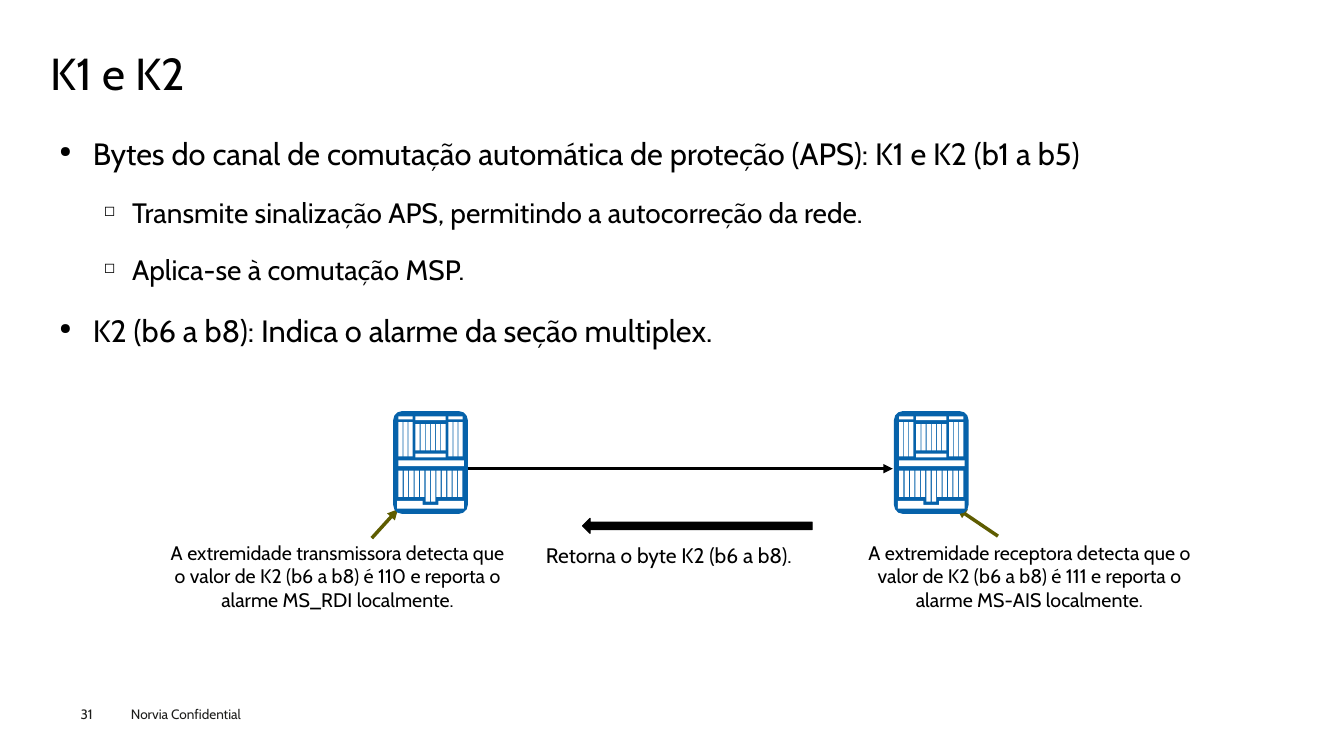
from lxml.etree import SubElement
from pptx import Presentation
from pptx.dml.color import RGBColor
from pptx.enum.shapes import MSO_CONNECTOR as Link, MSO_SHAPE as Shape
from pptx.enum.text import MSO_ANCHOR as Anchor, PP_ALIGN as Align
from pptx.oxml.ns import qn
from pptx.util import Cm, Pt

COLORS = {"ink": "000000", "footer": "1D1D1B", "cabinet": "0662AA",
          "slot": "FFFFFF", "pointer": "5E5C00"}
FONT = "Cabin"


def add_text(box, paragraphs, size, color="ink", margins=(0.25, 0.13), align=Align.LEFT):
    frame = slide.shapes.add_textbox(*map(Cm, box)).text_frame
    frame.word_wrap = True
    frame.margin_left = frame.margin_right = Cm(margins[0])
    frame.margin_top = frame.margin_bottom = Cm(margins[1])
    for index, words in enumerate(paragraphs):
        paragraph = frame.add_paragraph() if index else frame.paragraphs[0]
        paragraph.alignment = align
        run = paragraph.add_run()
        run.text = words
        run.font.name = FONT
        run.font.size = Pt(size)
        run.font.color.rgb = RGBColor.from_string(COLORS[color])
    return frame


def paint(shape, color):
    shape.shadow.inherit = False
    shape.fill.solid()
    shape.fill.fore_color.rgb = RGBColor.from_string(COLORS[color])
    shape.line.fill.background()


prs = Presentation()
prs.slide_width, prs.slide_height = Cm(33.87), Cm(19.05)
slide = prs.slides.add_slide(prs.slide_layouts[6])

add_text((3.05, 17.65, 4.06, 0.69), ["Norvia Confidential"], 9.7, "footer")
add_text((2.03, 17.78, 1.4, 0.41), ["31"], 9.7, "footer", (0, 0))

title = add_text((1.27, 1.24, 31.37, 1.37), ["K1 e K2"], 32, margins=(0, 0))
title.vertical_anchor = Anchor.MIDDLE
title.paragraphs[0].line_spacing = 0.9

points = [
    (0, "Bytes do canal de comutação automática de proteção (APS): K1 e K2 (b1 a b5)"),
    (1, "Transmite sinalização APS, permitindo a autocorreção da rede."),
    (1, "Aplica-se à comutação MSP."),
    (0, "K2 (b6 a b8): Indica o alarme da seção multiplex."),
]
levels = [
    {"size": 22, "before": 7.9, "margin": 0.84, "hang": 0.84, "bullet": "●", "align": Align.JUSTIFY},
    {"size": 20, "before": 7.2, "margin": 1.83, "hang": 0.71, "bullet": "◻", "align": Align.LEFT},
]
body = add_text((1.27, 2.92, 31.37, 13.54), [words for _, words in points], 22,
                margins=(0.23, 0.1))
for index, (paragraph, (depth, _)) in enumerate(zip(body.paragraphs, points)):
    level = levels[depth]
    paragraph.level = depth
    paragraph.alignment = level["align"]
    paragraph.line_spacing = 1.4
    paragraph.space_before = Pt(level["before"] if index else 0)
    paragraph.runs[0].font.size = Pt(level["size"])
    properties = paragraph._p.get_or_add_pPr()
    properties.set("marL", str(Cm(level["margin"])))
    properties.set("indent", str(-Cm(level["hang"])))
    SubElement(properties, qn("a:buSzPct")).set("val", "50000")
    SubElement(properties, qn("a:buChar")).set("char", level["bullet"])

arrows = [
    ((9.37, 13.56, 10.03, 12.83), "pointer", 2.5),
    ((25.15, 13.51, 24.1, 12.8), "pointer", 2.5),
    ((11.79, 11.81, 22.5, 11.81), "ink", 2.25),
]
for ends, color, width in arrows:
    arrow = slide.shapes.add_connector(Link.STRAIGHT, *map(Cm, ends))
    arrow.line.color.rgb = RGBColor.from_string(COLORS[color])
    arrow.line.width = Pt(width)
    SubElement(arrow.line._get_or_add_ln(), qn("a:tailEnd")).set("type", "triangle")
    SubElement(arrow._element.spPr, qn("a:effectLst"))

captions = [
    ((3.94, 13.49, 9.14, 2.31), "A extremidade transmissora detecta que o valor de K2 (b6 a b8) "
     "é 110 e reporta o alarme MS_RDI localmente."),
    ((21.54, 13.49, 8.81, 2.31), "A extremidade receptora detecta que o valor de K2 (b6 a b8) "
     "é 111 e reporta o alarme MS-AIS localmente."),
]
for box, words in captions:
    add_text(box, [words], 14, align=Align.CENTER)
add_text((13.51, 13.54, 8.03, 0.89), ["Retorna o byte K2 (b6 a b8)."], 15)

return_arrow = slide.shapes.add_shape(Shape.LEFT_ARROW, Cm(14.68), Cm(13.06), Cm(5.79), Cm(0.38))
paint(return_arrow, "ink")
return_arrow.line.color.rgb = RGBColor.from_string(COLORS["ink"])
return_arrow.line.width = Pt(0.75)

slots = [
    (0.13, 0.13, 0.36, 0.08), (1.39, 0.13, 0.36, 0.08),
    (0.56, 0.13, 0.76, 0.1), (0.56, 1.07, 0.76, 0.1),
    (0.13, 1.24, 1.65, 0.15),
]
slots += [(start + 0.125 * i, 0.28, 0.11, 0.86) for start in (0.13, 1.39) for i in range(3)]
slots += [(0.56 + 0.13 * i, 0.33, 0.11, 0.66) for i in range(6)]
slots += [(0.13 + 0.137 * i, 1.5, 0.11, 0.78 if i in (5, 6) else 0.66) for i in range(12)]
tray = [(0.1, 2.26), (0.74, 2.26), (0.74, 2.36), (1.14, 2.36),
        (1.14, 2.26), (1.78, 2.26), (1.78, 2.46), (0.1, 2.46)]

cabinet_top = 10.36
for cabinet_left in (9.91, 22.53):
    cabinet = slide.shapes.add_group_shape().shapes
    case = cabinet.add_shape(Shape.ROUNDED_RECTANGLE, Cm(cabinet_left), Cm(cabinet_top),
                             Cm(1.88), Cm(2.59))
    case.adjustments[0] = 0.12
    paint(case, "cabinet")
    for x, y, width, height in slots:
        slot = cabinet.add_shape(Shape.RECTANGLE, Cm(cabinet_left + x), Cm(cabinet_top + y),
                                 Cm(width), Cm(height))
        paint(slot, "slot")
    corners = [(Cm(cabinet_left + x), Cm(cabinet_top + y)) for x, y in tray]
    outline = cabinet.build_freeform(*corners[0])
    outline.add_line_segments(corners[1:], close=True)
    paint(outline.convert_to_shape(), "slot")

prs.save("out.pptx")
